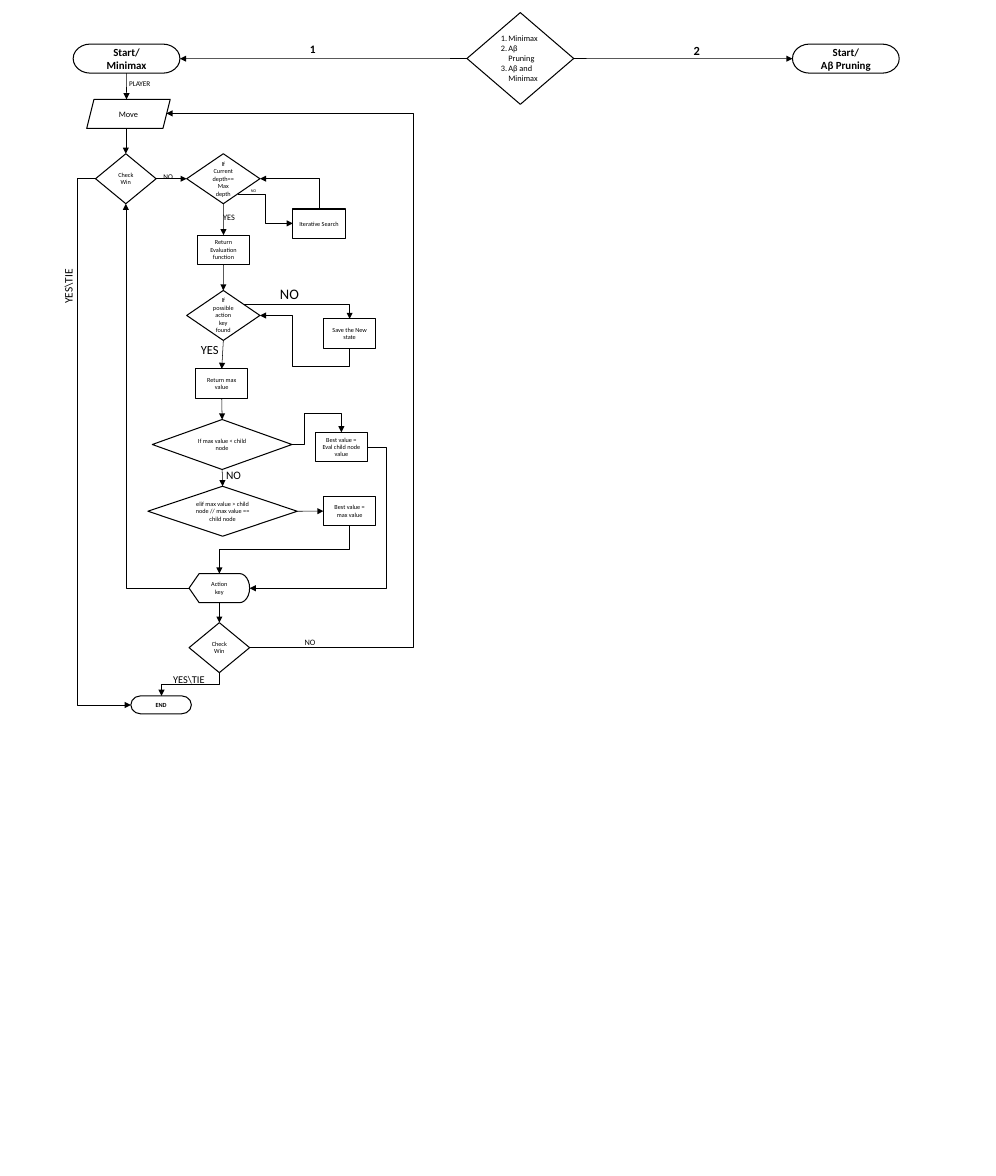
from dataclasses import dataclass
from typing import Optional

from lxml.etree import SubElement
from pptx import Presentation
from pptx.dml.color import RGBColor
from pptx.enum.shapes import MSO_CONNECTOR, MSO_SHAPE
from pptx.enum.text import MSO_ANCHOR, MSO_AUTO_SIZE, PP_ALIGN
from pptx.oxml.ns import qn
from pptx.util import Cm, Pt

COLORS = {"ink": "000000"}
FONT = "Calibri"
INK = RGBColor.from_string(COLORS["ink"])
ROTATIONS = {(1, 0): 0, (0, 1): 90, (-1, 0): 180, (0, -1): 270}
TOP, LEFT, BOTTOM, RIGHT = range(4)
DECISION = MSO_SHAPE.FLOWCHART_DECISION
TERMINATOR = MSO_SHAPE.FLOWCHART_TERMINATOR
BOX = MSO_SHAPE.RECTANGLE
Point = tuple[float, float]


@dataclass
class Node:
    name: str
    kind: MSO_SHAPE
    left: float
    top: float
    text: str
    width: float = 1.78
    height: float = 0.99
    size: float = 6
    bold: bool = False
    numbered: bool = False


@dataclass
class Label:
    text: str
    left: float
    top: float
    width: float
    height: float
    size: float
    bold: bool = False
    wrap: bool = True
    vertical: bool = False


@dataclass
class Link:
    source: str
    source_side: int
    target: str
    target_side: int


NODES = [
    Node("minimax", TERMINATOR, 2.49, 1.5, "Start/\nMinimax", 3.63, size=10.5, bold=True),
    Node("pruning", TERMINATOR, 26.95, 1.5, "Start/\nAβ Pruning", 3.63, size=10.5, bold=True),
    Node("menu", DECISION, 15.88, 0.43, "Minimax\nΑβ Pruning\nΑβ and Minimax", 3.63, 3.12, 8, numbered=True),
    Node("move", MSO_SHAPE.PARALLELOGRAM, 2.95, 3.38, "Move", 2.84, size=8),
    Node("first check", DECISION, 3.25, 5.23, "Check Win", 2.06, 1.7),
    Node("depth", DECISION, 6.35, 5.23, "If Current depth== Max depth", 2.49, 1.7),
    Node("search", BOX, 9.96, 7.11, "Iterative Search"),
    Node("evaluation", BOX, 6.71, 8, "Return Evaluation function"),
    Node("key found", DECISION, 6.35, 9.88, "If possible action key found", 2.49, 1.7),
    Node("save", BOX, 11, 10.85, "Save the New state"),
    Node("max value", BOX, 6.65, 12.55, "Return max value"),
    Node("less", DECISION, 5.18, 14.27, "If max value < child node", 4.75, 1.7),
    Node("best child", BOX, 10.72, 14.71, "Best value = Eval child node value"),
    Node("greater", DECISION, 5.03, 16.54, "elif max value > child node // max value == child node", 5.08, 1.7),
    Node("best max", BOX, 11, 16.89, "Best value = max value"),
    Node("action key", MSO_SHAPE.FLOWCHART_DISPLAY, 6.43, 19.51, "Action key", 2.06),
    Node("last check", DECISION, 6.43, 21.18, "Check Win", 2.06, 1.7),
    Node("end", TERMINATOR, 4.45, 23.67, "END", 2.06, 0.61, bold=True),
]

LINKS = [
    Link("menu", LEFT, "minimax", RIGHT),
    Link("menu", RIGHT, "pruning", LEFT),
    Link("first check", RIGHT, "depth", LEFT),
    Link("depth", BOTTOM, "evaluation", TOP),
    Link("evaluation", BOTTOM, "key found", TOP),
    Link("key found", BOTTOM, "max value", TOP),
    Link("max value", BOTTOM, "less", TOP),
    Link("less", BOTTOM, "greater", TOP),
    Link("greater", RIGHT, "best max", LEFT),
    Link("action key", BOTTOM, "last check", TOP),
]

ROUTES: list[list[Point]] = [
    [(8.1, 6.6), (9.03, 6.6), (9.03, 7.6), (9.96, 7.6)],
    [(10.85, 7.11), (10.85, 6.08), (8.84, 6.08)],
    [(8.31, 10.36), (11.89, 10.36), (11.89, 10.85)],
    [(11.89, 11.84), (11.89, 12.47), (9.93, 12.47), (9.93, 10.73), (8.84, 10.73)],
    [(9.93, 15.12), (10.34, 15.12), (10.34, 14.07), (11.61, 14.07), (11.61, 14.71)],
    [(12.5, 15.2), (13.13, 15.2), (13.13, 20.01), (8.49, 20.01)],
    [(11.89, 17.88), (11.89, 18.69), (7.46, 18.69), (7.46, 19.51)],
    [(6.43, 20.01), (4.28, 20.01), (4.28, 6.93)],
    [(3.25, 6.08), (2.62, 6.08), (2.62, 23.98), (4.45, 23.98)],
    [(7.46, 22.88), (7.46, 23.27), (5.49, 23.27), (5.49, 23.67)],
    [(8.49, 22.03), (14.05, 22.03), (14.05, 3.86), (5.66, 3.86)],
]

LABELS = [
    Label("1", 10.29, 1.32, 1.4, 0.74, 11, bold=True),
    Label("2", 23.34, 1.35, 0.74, 0.76, 12, bold=True, wrap=False),
    Label("PLAYER", 4.14, 2.57, 2.06, 0.56, 7),
    Label("NO", 5.31, 5.72, 2.24, 0.56, 7),
    Label("NO", 8.28, 6.27, 0.74, 0.43, 4),
    Label("YES", 7.34, 7.09, 0.91, 0.61, 8, wrap=False),
    Label("YES\\TIE", 1.96, 7.85, 0.99, 2.74, 11, vertical=True),
    Label("NO", 9.27, 9.58, 1.17, 0.86, 14, wrap=False),
    Label("YES", 6.58, 11.51, 1.12, 0.76, 12, wrap=False),
    Label("NO", 7.44, 15.8, 1.02, 0.74, 11, wrap=False),
    Label("NO", 10.11, 21.54, 0.89, 0.61, 8, wrap=False),
    Label("YES\\TIE", 5.64, 22.78, 1.68, 0.69, 10),
]


def style_text(frame, text: str, size: float, bold: bool,
               alignment: Optional[PP_ALIGN] = None, numbered: bool = False) -> None:
    for index, line in enumerate(text.split("\n")):
        paragraph = frame.add_paragraph() if index else frame.paragraphs[0]
        paragraph.text = line
        paragraph.alignment = alignment
        if numbered:
            properties = paragraph._p.get_or_add_pPr()
            properties.set("marL", str(Cm(0.25)))
            properties.set("indent", str(-Cm(0.25)))
            SubElement(properties, qn("a:buFont"), typeface="+mj-lt")
            SubElement(properties, qn("a:buAutoNum"), type="arabicPeriod")
        paragraph.font.name = FONT
        paragraph.font.size = Pt(size)
        paragraph.font.bold = bold
        paragraph.font.color.rgb = INK


def draw_node(shapes, node: Node):
    shape = shapes.add_shape(node.kind, Cm(node.left), Cm(node.top), Cm(node.width), Cm(node.height))
    shape.shadow.inherit = False
    shape.fill.background()
    shape.line.color.rgb = INK
    shape.line.width = Pt(1)
    frame = shape.text_frame
    frame.word_wrap = True
    frame.vertical_anchor = MSO_ANCHOR.MIDDLE
    if node.kind == BOX:
        frame.margin_left = frame.margin_right = Cm(0.2)
    alignment = PP_ALIGN.LEFT if node.numbered else PP_ALIGN.CENTER
    style_text(frame, node.text, node.size, node.bold, alignment, node.numbered)
    return shape


def draw_label(shapes, label: Label) -> None:
    box = shapes.add_textbox(Cm(label.left), Cm(label.top), Cm(label.width), Cm(label.height))
    frame = box.text_frame
    frame.word_wrap = label.wrap
    frame.auto_size = MSO_AUTO_SIZE.SHAPE_TO_FIT_TEXT
    if label.vertical:
        frame._txBody.bodyPr.set("vert", "vert270")
    style_text(frame, label.text, label.size, label.bold)


def draw_arrow(shapes, start: Point, end: Point, kind=MSO_CONNECTOR.STRAIGHT):
    connector = shapes.add_connector(kind, *(Cm(value) for value in (*start, *end)))
    connector.line.color.rgb = INK
    connector.line.width = Pt(0.5)
    SubElement(connector.line._get_or_add_ln(), qn("a:tailEnd"), type="triangle")
    SubElement(connector._element.spPr, qn("a:effectLst"))
    return connector


def draw_route(shapes, points: list[Point]) -> None:
    start, end = points[0], points[-1]
    connector = draw_arrow(shapes, start, end, MSO_CONNECTOR.ELBOW)
    ahead = tuple((b > a) - (b < a) for a, b in zip(start, points[1]))
    side = (-ahead[1], ahead[0])

    def along(axis: Point, target: Point) -> float:
        return sum(unit * (b - a) for unit, a, b in zip(axis, start, target))

    length, breadth = along(ahead, end), along(side, end)
    connector.width, connector.height = Cm(abs(length)), Cm(abs(breadth))
    connector.left = Cm((start[0] + end[0] - abs(length)) / 2)
    connector.top = Cm((start[1] + end[1] - abs(breadth)) / 2)
    properties = connector._element.spPr
    transform = properties.find(qn("a:xfrm"))
    transform.set("rot", str(ROTATIONS[ahead] * 60000))
    transform.set("flipH", str(int(length < 0)))
    transform.set("flipV", str(int(breadth < 0)))
    geometry = properties.find(qn("a:prstGeom"))
    geometry.set("prst", f"bentConnector{len(points) - 1}")
    bends = [along(ahead, points[1]) / length, along(side, points[2]) / breadth]
    guides = geometry.find(qn("a:avLst"))
    for number, bend in enumerate(bends[:len(points) - 3], 1):
        SubElement(guides, qn("a:gd"), name=f"adj{number}", fmla=f"val {round(bend * 100000)}")


def main() -> None:
    presentation = Presentation()
    presentation.slide_width, presentation.slide_height = Cm(33.87), Cm(40)
    shapes = presentation.slides.add_slide(presentation.slide_layouts[6]).shapes
    nodes = {node.name: draw_node(shapes, node) for node in NODES}
    for link in LINKS:
        connector = draw_arrow(shapes, (0, 0), (0, 0))
        connector.begin_connect(nodes[link.source], link.source_side)
        connector.end_connect(nodes[link.target], link.target_side)
    draw_arrow(shapes, (4.3, 2.49), (4.3, 3.38)).begin_connect(nodes["minimax"], BOTTOM)
    draw_arrow(shapes, (4.28, 4.37), (4.28, 5.23)).end_connect(nodes["first check"], TOP)
    for route in ROUTES:
        draw_route(shapes, route)
    for label in LABELS:
        draw_label(shapes, label)
    presentation.save("out.pptx")


if __name__ == "__main__":
    main()
